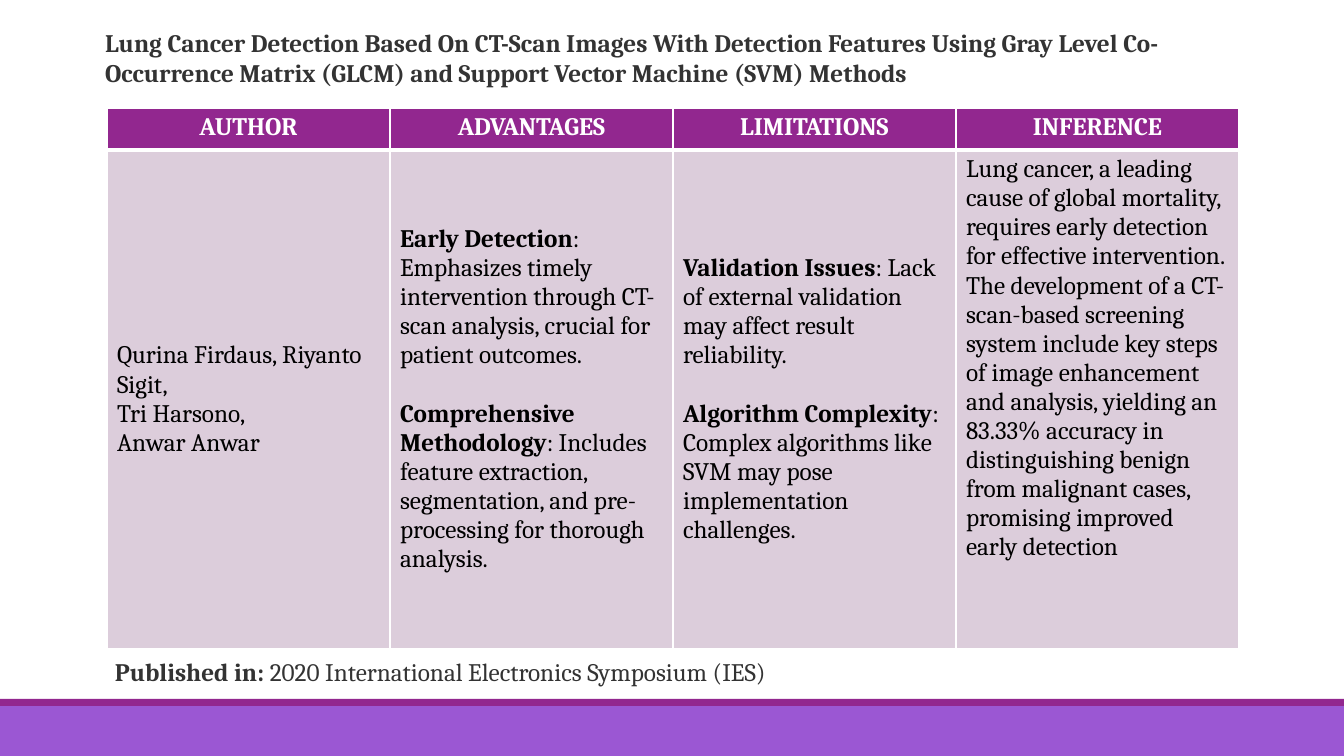
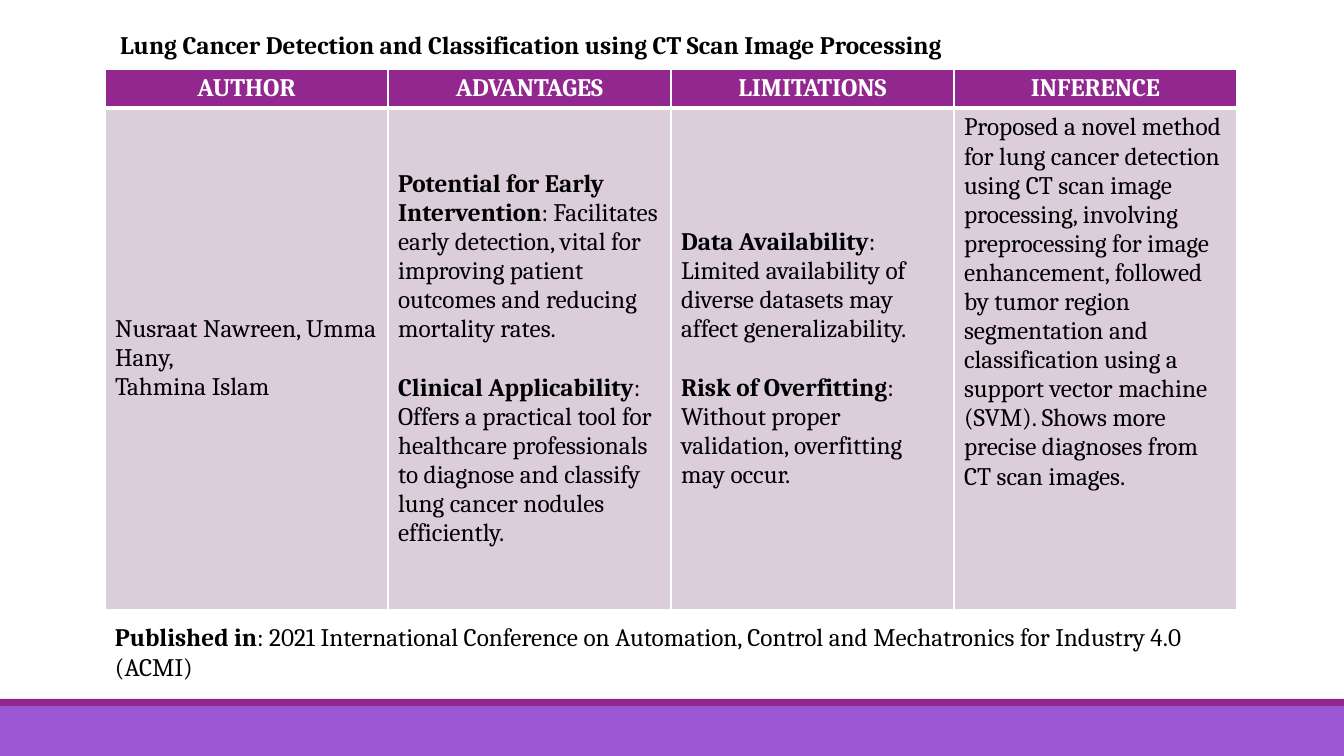
"""Build two literature survey slides on lung cancer detection."""
from dataclasses import dataclass

from lxml.etree import SubElement
from pptx import Presentation
from pptx.dml.color import RGBColor
from pptx.enum.shapes import MSO_SHAPE
from pptx.enum.text import MSO_ANCHOR, MSO_AUTO_SIZE, PP_ALIGN
from pptx.oxml.ns import qn
from pptx.util import Emu, Pt


@dataclass(frozen=True)
class Theme:
    font: str = "Cambria"
    text_size: int = 18
    entry_gap: int = 21
    thin_line: int = 1
    header_line: int = 3
    purple: str = "92278F"
    violet: str = "9B57D3"
    cell: str = "DCCDDB"
    white: str = "FFFFFF"
    black: str = "000000"
    charcoal: str = "333333"


THEME = Theme()
EMU_PER_PX = 914400 / 100.8
SLIDE_SIZE = (1344, 756)
BANDS = [(706, 50, THEME.violet), (699, 7, THEME.purple)]
COLUMN_WIDTH = 283
HEADINGS = ["AUTHOR", "ADVANTAGES", "LIMITATIONS", "INFERENCE"]

PAPERS = [
    {
        "title": "Lung Cancer Detection Based On CT-Scan Images With Detection Features Using "
                 "Gray Level Co-Occurrence Matrix (GLCM) and Support Vector Machine (SVM) Methods",
        "title_box": (95, 22, 1142, 72),
        "table_at": (107, 108),
        "row_heights": (42, 499),
        "authors": ["Qurina Firdaus, Riyanto Sigit,", "Tri Harsono,", "Anwar Anwar"],
        "advantages": [
            ("Early Detection", ": Emphasizes timely intervention through CT-scan analysis, "
                                "crucial for patient outcomes."),
            ("Comprehensive Methodology", ": Includes feature extraction, segmentation, and "
                                          "pre-processing for thorough analysis."),
        ],
        "limitations": [
            ("Validation Issues", ": Lack of external validation may affect result reliability."),
            ("Algorithm Complexity", ": Complex algorithms like SVM may pose implementation "
                                     "challenges."),
        ],
        "inference": "Lung cancer, a leading cause of global mortality, requires early detection "
                     "for effective intervention. The development of a CT-scan-based screening "
                     "system include key steps of image enhancement and analysis, yielding an "
                     "83.33% accuracy in distinguishing benign from malignant cases, promising "
                     "improved early detection",
        "published": ("Published in: ", "2020 International Electronics Symposium (IES)"),
        "published_box": (105, 651, 951, 40),
        "color": THEME.charcoal,
    },
    {
        "title": "Lung Cancer Detection and Classification using CT Scan Image Processing",
        "title_box": (110, 24, 1126, 40),
        "table_at": (105, 69),
        "row_heights": (39, 501),
        "authors": ["Nusraat Nawreen, Umma Hany,", "Tahmina Islam"],
        "advantages": [
            ("Potential for Early Intervention", ": Facilitates early detection, vital for "
                                                 "improving patient outcomes and reducing "
                                                 "mortality rates."),
            ("Clinical Applicability", ": Offers a practical tool for healthcare professionals "
                                       "to diagnose and classify lung cancer nodules "
                                       "efficiently."),
        ],
        "limitations": [
            ("Data Availability", ": Limited availability of diverse datasets may affect "
                                  "generalizability."),
            ("Risk of Overfitting", ": Without proper validation, overfitting may occur."),
        ],
        "inference": "Proposed a novel method for lung cancer detection using CT scan image "
                     "processing, involving preprocessing for image enhancement, followed by "
                     "tumor region segmentation and classification using a support vector machine "
                     "(SVM). Shows more precise diagnoses from CT scan images.",
        "published": ("Published in", ": 2021 International Conference on Automation, Control "
                                      "and Mechatronics for Industry 4.0 (ACMI)"),
        "published_box": (105, 616, 1131, 71),
        "color": THEME.black,
    },
]


def px(length):
    return Emu(round(length * EMU_PER_PX))


def write(text_frame, entries, color, gap=0, align=PP_ALIGN.LEFT):
    for index, entry in enumerate(entries):
        paragraph = text_frame.add_paragraph() if index else text_frame.paragraphs[0]
        paragraph.alignment = align
        paragraph.space_before = Pt(gap if index else 0)
        for text, bold in zip(entry, (True, False)):
            if text:
                run = paragraph.add_run()
                run.text = text
                run.font.name = THEME.font
                run.font.size = Pt(THEME.text_size)
                run.font.bold = bold
                run.font.color.rgb = RGBColor.from_string(color)


def add_bands(slide, layout):
    tree = layout.element.cSld.spTree
    for top, height, color in BANDS:
        band = slide.shapes.add_shape(
            MSO_SHAPE.RECTANGLE, 0, px(top), px(SLIDE_SIZE[0]), px(height))
        band.shadow.inherit = False
        band.fill.solid()
        band.fill.fore_color.rgb = RGBColor.from_string(color)
        band.line.fill.background()
        tree.append(band.element)


def style_cell(cell, fill, top_line, bottom_line):
    properties = cell._tc.get_or_add_tcPr()
    widths = {"L": THEME.thin_line, "R": THEME.thin_line, "T": top_line, "B": bottom_line}
    for side, width in widths.items():
        line = SubElement(properties, qn(f"a:ln{side}"), w=str(Pt(width)))
        line_fill = SubElement(line, qn("a:solidFill"))
        SubElement(line_fill, qn("a:srgbClr"), val=THEME.white)
    cell.fill.solid()
    cell.fill.fore_color.rgb = RGBColor.from_string(fill)


def add_survey_table(slide, paper):
    left, top = paper["table_at"]
    heights = paper["row_heights"]
    frame = slide.shapes.add_table(
        len(heights), len(HEADINGS), px(left), px(top),
        px(COLUMN_WIDTH * len(HEADINGS)), px(sum(heights)))
    table = frame.table
    table.horz_banding = False
    for row, height in zip(table.rows, heights):
        row.height = px(height)
    details = [
        ([("", name) for name in paper["authors"]], 0, MSO_ANCHOR.MIDDLE),
        (paper["advantages"], THEME.entry_gap, MSO_ANCHOR.MIDDLE),
        (paper["limitations"], THEME.entry_gap, MSO_ANCHOR.MIDDLE),
        ([("", paper["inference"])], 0, MSO_ANCHOR.TOP),
    ]
    for column, (heading, (entries, gap, anchor)) in enumerate(zip(HEADINGS, details)):
        header, body = table.cell(0, column), table.cell(1, column)
        style_cell(header, THEME.purple, THEME.thin_line, THEME.header_line)
        write(header.text_frame, [(heading,)], THEME.white, align=PP_ALIGN.CENTER)
        style_cell(body, THEME.cell, THEME.header_line, THEME.thin_line)
        body.vertical_anchor = anchor
        write(body.text_frame, entries, THEME.black, gap)


def set_text_box(shape, box, entry, color):
    shape.left, shape.top, shape.width, shape.height = map(px, box)
    text_frame = shape.text_frame
    text_frame.word_wrap = True
    text_frame.auto_size = MSO_AUTO_SIZE.NONE
    text_frame.vertical_anchor = MSO_ANCHOR.TOP
    write(text_frame, [entry], color)


def main():
    presentation = Presentation()
    presentation.slide_width, presentation.slide_height = map(px, SLIDE_SIZE)
    layout = presentation.slide_layouts.get_by_name("Title Only")
    for index, paper in enumerate(PAPERS):
        slide = presentation.slides.add_slide(layout)
        if index == 0:
            add_bands(slide, layout)
        set_text_box(slide.shapes.title, paper["title_box"], (paper["title"],), paper["color"])
        add_survey_table(slide, paper)
        caption = slide.shapes.add_textbox(*map(px, paper["published_box"]))
        set_text_box(caption, paper["published_box"], paper["published"], paper["color"])
    presentation.save("out.pptx")


if __name__ == "__main__":
    main()
